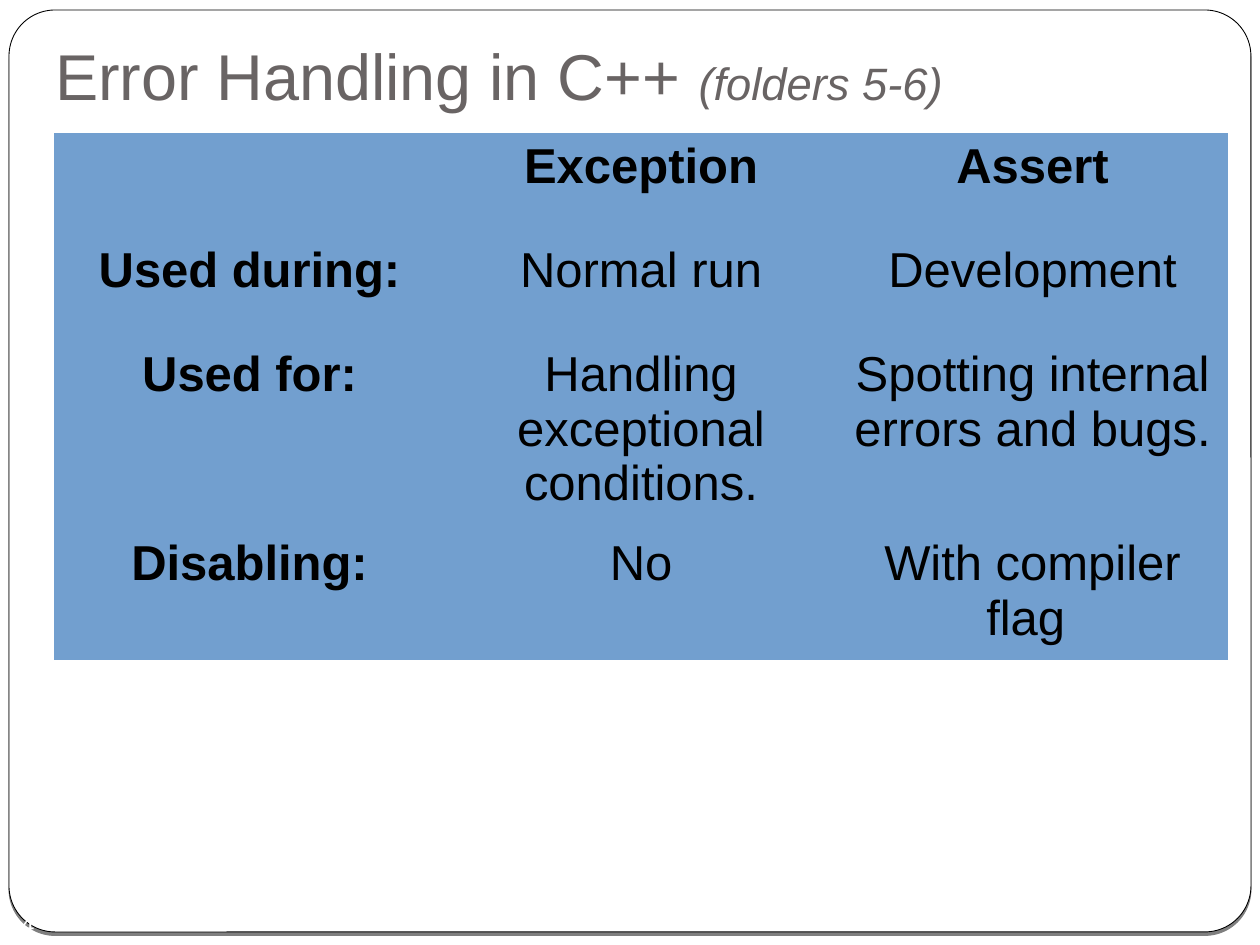
"""Build the slide comparing exceptions and asserts in C++."""
from lxml.etree import SubElement
from pptx import Presentation
from pptx.dml.color import RGBColor
from pptx.enum.shapes import MSO_SHAPE
from pptx.enum.text import MSO_ANCHOR, PP_ALIGN
from pptx.oxml.ns import qn
from pptx.util import Pt

SCALE = 914400 / 126


def px(*lengths):
    return [round(length * SCALE) for length in lengths]


def style(span, size, color, bold=False, italic=False):
    span.font.name = "Arial"
    span.font.size = Pt(size)
    span.font.bold = bold
    span.font.italic = italic
    span.font.color.rgb = RGBColor.from_string(color)


deck = Presentation()
deck.slide_width, deck.slide_height = px(1260, 945)
page = deck.slides.add_slide(deck.slide_layouts[6])
page.background.fill.solid()
page.background.fill.fore_color.rgb = RGBColor.from_string("FFFFFF")

frame = page.shapes.add_shape(MSO_SHAPE.ROUNDED_RECTANGLE, *px(9, 10, 1242, 922))
frame.adjustments[0] = 0.05
frame.fill.solid()
frame.fill.fore_color.rgb = RGBColor.from_string("FFFFFF")
frame.line.color.rgb = RGBColor.from_string("000000")
frame.line.width = Pt(0.5)
frame.shadow.inherit = False
effects = frame._element.spPr.find(qn("a:effectLst"))
shadow = SubElement(effects, qn("a:outerShdw"), blurRad="0", dist=str(Pt(2)), dir="5400000")
shadow_color = SubElement(shadow, qn("a:srgbClr"), val="000000")
SubElement(shadow_color, qn("a:alpha"), val="50000")

title = page.shapes.add_textbox(*px(42, 38, 1176, 88)).text_frame
title.word_wrap = True
title.vertical_anchor = MSO_ANCHOR.BOTTOM
title.margin_left, title.margin_top, title.margin_right, title.margin_bottom = px(13, 6, 13, 13)
para = title.paragraphs[0]
para.line_spacing = 0.8
for text, size, italic in [("Error Handling in C++ ", 37, False), ("(folders 5-6)", 25.9, True)]:
    span = para.add_run()
    span.text = text
    style(span, size, "696464", italic=italic)

number = page.shapes.add_textbox(*px(0, 903, 42, 42)).text_frame
number.word_wrap = True
number.vertical_anchor = MSO_ANCHOR.MIDDLE
number.margin_left = number.margin_top = number.margin_right = number.margin_bottom = 0
number.text = "14"
number.paragraphs[0].alignment = PP_ALIGN.CENTER
style(number.paragraphs[0].runs[0], 14, "FFFFFF")

rows = [
    ("", "Exception", "Assert"),
    ("Used during:", "Normal run", "Development"),
    ("Used for:", "Handling exceptional conditions.", "Spotting internal errors and bugs."),
    ("Disabling:", "No", "With compiler flag "),
]
table = page.shapes.add_table(4, 3, *px(54, 133, 1174, 506)).table
for row, height in zip(table.rows, px(104, 104, 177, 121)):
    row.height = height
for column, width in zip(table.columns, px(391, 392, 391)):
    column.width = width
for row_index, texts in enumerate(rows):
    for column_index, text in enumerate(texts):
        cell = table.cell(row_index, column_index)
        cell.fill.solid()
        cell.fill.fore_color.rgb = RGBColor.from_string("729FCF")
        cell.text_frame.text = text
        para = cell.text_frame.paragraphs[0]
        para.alignment = PP_ALIGN.CENTER
        for span in para.runs:
            style(span, 28, "000000", bold=row_index == 0 or column_index == 0)
        # borders are removed so the cells form one plain field
        properties = cell._tc.get_or_add_tcPr()
        for place, side in enumerate(("a:lnL", "a:lnR", "a:lnT", "a:lnB")):
            border = SubElement(properties, qn(side), w="0")
            SubElement(border, qn("a:noFill"))
            properties.insert(place, border)

deck.save("out.pptx")
